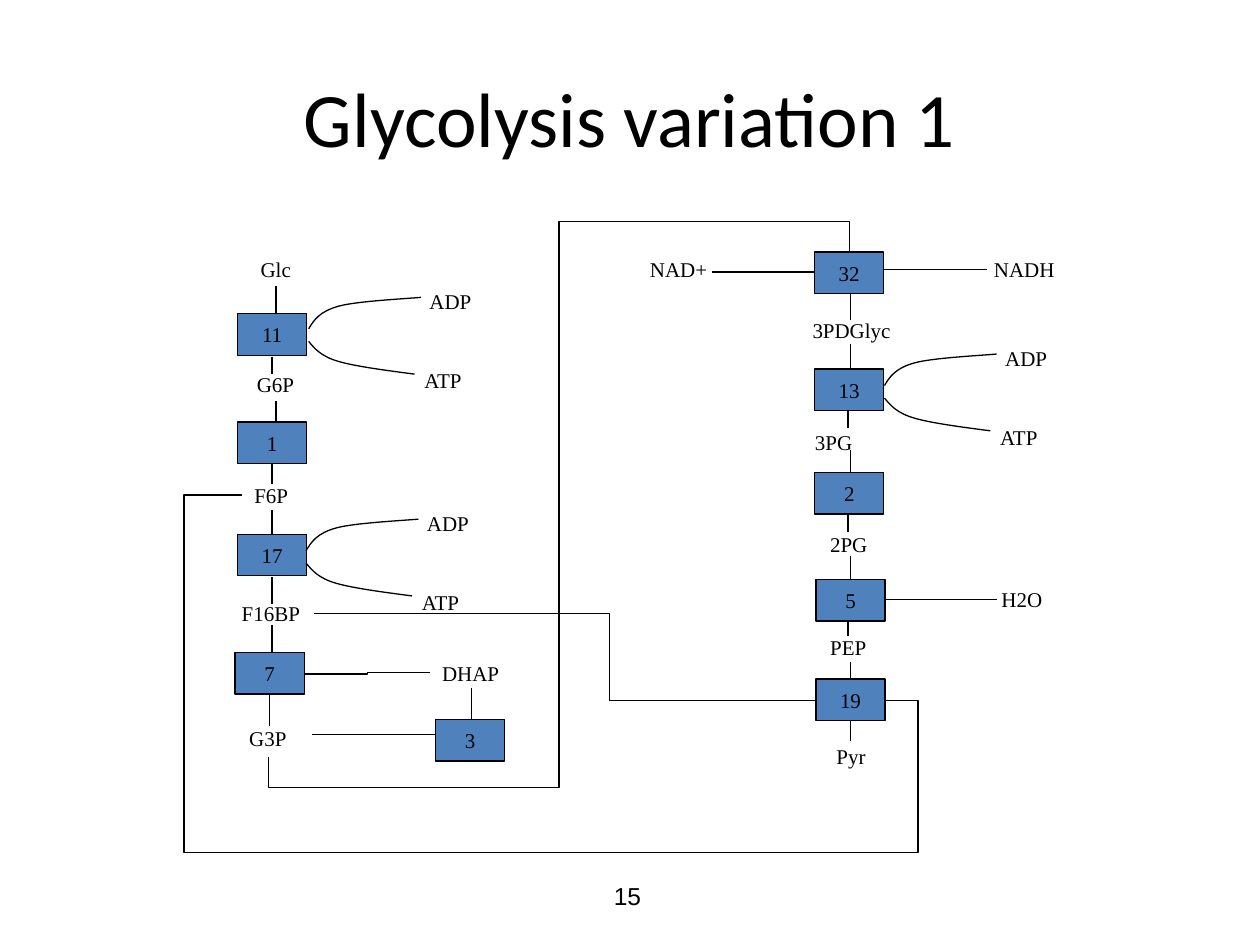
"""Build a slide that maps the first variation of glycolysis as a reaction network."""
from dataclasses import dataclass

from lxml.etree import SubElement
from pptx import Presentation
from pptx.dml.color import RGBColor
from pptx.enum.shapes import MSO_CONNECTOR, MSO_SHAPE
from pptx.enum.text import MSO_ANCHOR, MSO_AUTO_SIZE, PP_ALIGN
from pptx.oxml.ns import qn
from pptx.util import Inches, Pt


@dataclass(frozen=True)
class Theme:
    ink: RGBColor = RGBColor(0, 0, 0)
    fill: RGBColor = RGBColor(0x4F, 0x81, 0xBD)
    title: tuple = ("Calibri", 44)
    label: tuple = ("Times New Roman", 12)
    number: tuple = ("Arial", 14)
    line: float = 0.75


THEME = Theme()
SLIDE_SIZE = (10, 7.5)
TITLE = "Glycolysis variation 1"
PAGE_NUMBER = "15"
BOX_SIZE = (0.55, 0.33)
LABEL_HEIGHT = 0.3

REACTIONS = {
    2.16: [("11", 2.49), ("1", 3.35), ("17", 4.24)],
    2.14: [("7", 5.18)],
    3.73: [("3", 5.71)],
    6.74: [("32", 2), ("13", 2.93), ("2", 3.75)],
    6.75: [("5", 4.6), ("19", 5.39)],
}
METABOLITES = [
    ("Glc", 1.97, 1.99, 0.44), ("G6P", 1.94, 2.9, 0.5), ("F6P", 1.92, 3.78, 0.47),
    ("F16BP", 1.82, 4.72, 0.66), ("G3P", 1.88, 5.71, 0.5), ("DHAP", 3.41, 5.19, 0.75),
    ("3PDGlyc", 6.35, 2.47, 1.35), ("3PG", 6.37, 3.36, 0.5), ("2PG", 6.49, 4.17, 0.5),
    ("PEP", 6.49, 4.99, 0.49), ("Pyr", 6.54, 5.85, 0.43), ("NAD+", 5.06, 1.99, 0.66),
    ("NADH", 7.79, 1.99, 0.68), ("H2O", 7.85, 4.61, 0.53),
]
VERTICALS = {
    2.19: [(2.27, 2.49), (3.18, 3.36)],
    2.16: [(2.83, 2.97), (3.68, 3.84), (4.05, 4.24), (4.58, 4.79), (4.96, 5.18)],
    2.14: [(5.51, 5.76)],
    3.74: [(5.46, 5.71)],
    6.75: [(2.33, 2.54), (2.73, 2.94), (3.57, 3.75), (4.41, 4.6), (5.25, 5.4), (5.72, 5.88)],
    6.73: [(3.26, 3.4), (4.09, 4.22), (4.93, 5.05)],
}
HORIZONTALS = {5.83: [(2.48, 3.45)], 2.14: [(7.02, 7.83)], 2.16: [(5.65, 6.46)], 4.76: [(7.02, 7.91)]}
COFACTOR_ORIGINS = [(2.45, 2.61), (2.43, 4.37), (7.02, 3.06)]
COFACTORS = [
    ("ADP", (0.86, -0.37), [(0, 0), (0.04, -0.07), (0.09, -0.14), (0.24, -0.18),
                            (0.38, -0.22), (0.79, -0.24), (0.89, -0.25)]),
    ("ATP", (0.82, 0.26), [(0, 0.1), (0.05, 0.16), (0.1, 0.22), (0.24, 0.26),
                           (0.38, 0.3), (0.61, 0.33), (0.84, 0.36)]),
]
ELBOWS = [
    {"start": (6.44, 6.31), "end": (2.43, 1.7), "turns": (-0.06, 0.5, 1.06), "rotation": 90},
    {"start": (2.49, 4.87), "end": (6.47, 5.56), "turns": (0.59,)},
    {"start": (1.92, 3.93), "end": (7.03, 5.56), "turns": (-0.09, 1.74, 1.05)},
    {"start": (2.42, 5.35), "end": (3.41, 5.34), "turns": (0.5,)},
]


def inches(*values):
    return [Inches(value) for value in values]


def write(frame, text, style, align=PP_ALIGN.CENTER, **frame_format):
    for name, value in frame_format.items():
        setattr(frame, name, value)
    para = frame.paragraphs[0]
    para.alignment = align
    span = para.add_run()
    span.text = text
    family, size = style
    for name, value in {"name": family, "size": Pt(size)}.items():
        setattr(span.font, name, value)
    span.font.color.rgb = THEME.ink


def outline(shape):
    shape.line.color.rgb = THEME.ink
    shape.line.width = Pt(THEME.line)


def add_reaction(page, number, center, top):
    width, height = BOX_SIZE
    box = page.shapes.add_shape(MSO_SHAPE.RECTANGLE, *inches(center - width / 2, top, width, height))
    box.shadow.inherit = False
    box.fill.solid()
    box.fill.fore_color.rgb = THEME.fill
    outline(box)
    write(box.text_frame, number, THEME.label, word_wrap=False, vertical_anchor=MSO_ANCHOR.MIDDLE)


def add_label(page, text, left, top, width):
    box = page.shapes.add_textbox(*inches(left, top, width, LABEL_HEIGHT))
    write(box.text_frame, text, THEME.label, PP_ALIGN.LEFT,
          word_wrap=True, auto_size=MSO_AUTO_SIZE.NONE, margin_right=0)


def add_line(page, start, end, kind=MSO_CONNECTOR.STRAIGHT):
    line = page.shapes.add_connector(kind, *inches(*start, *end))
    outline(line)
    SubElement(line._element.spPr, qn("a:effectLst"))
    return line


def add_elbow(page, start, end, turns, rotation=0):
    properties = add_line(page, start, end, MSO_CONNECTOR.ELBOW)._element.spPr
    properties.find(qn("a:xfrm")).set("rot", str(rotation * 60000))
    geometry = properties.find(qn("a:prstGeom"))
    geometry.set("prst", f"bentConnector{len(turns) + 2}")
    guides = geometry.find(qn("a:avLst"))
    for index, turn in enumerate(turns, 1):
        SubElement(guides, qn("a:gd"), name=f"adj{index}", fmla=f"val {round(turn * 100000)}")


def add_curve(page, points):
    builder = page.shapes.build_freeform(*inches(*points[0]))
    builder.add_line_segments([inches(*point) for point in points[1:]], close=False)
    curve = builder.convert_to_shape()
    curve.shadow.inherit = False
    curve.fill.background()
    outline(curve)
    segments = list(curve._element.iter(qn("a:lnTo")))
    for first in range(0, len(segments), 3):
        bezier = SubElement(segments[first].getparent(), qn("a:cubicBezTo"))
        for segment in segments[first:first + 3]:
            bezier.append(segment[0])
            segment.getparent().remove(segment)


def main():
    deck = Presentation()
    deck.slide_width, deck.slide_height = inches(*SLIDE_SIZE)
    page = deck.slides.add_slide(deck.slide_layouts[5])

    title = page.shapes.title
    for name, value in zip(("left", "top", "width", "height"), inches(0.5, 0.3, 9, 1.25)):
        setattr(title, name, value)
    write(title.text_frame, TITLE, THEME.title, vertical_anchor=MSO_ANCHOR.MIDDLE)
    footer = page.shapes.add_textbox(*inches(3.94, 6.94, 2.08, 0.5))
    write(footer.text_frame, PAGE_NUMBER, THEME.number, word_wrap=True)

    for center, steps in REACTIONS.items():
        for number, top in steps:
            add_reaction(page, number, center, top)
    for metabolite in METABOLITES:
        add_label(page, *metabolite)
    for x, spans in VERTICALS.items():
        for top, bottom in spans:
            add_line(page, (x, top), (x, bottom))
    for y, spans in HORIZONTALS.items():
        for left, right in spans:
            add_line(page, (left, y), (right, y))
    for x, y in COFACTOR_ORIGINS:
        for text, (across, down), points in COFACTORS:
            add_label(page, text, x + across, y + down, 0.53)
            add_curve(page, [(x + dx, y + dy) for dx, dy in points])
    for elbow in ELBOWS:
        add_elbow(page, **elbow)
    deck.save("out.pptx")


if __name__ == "__main__":
    main()
